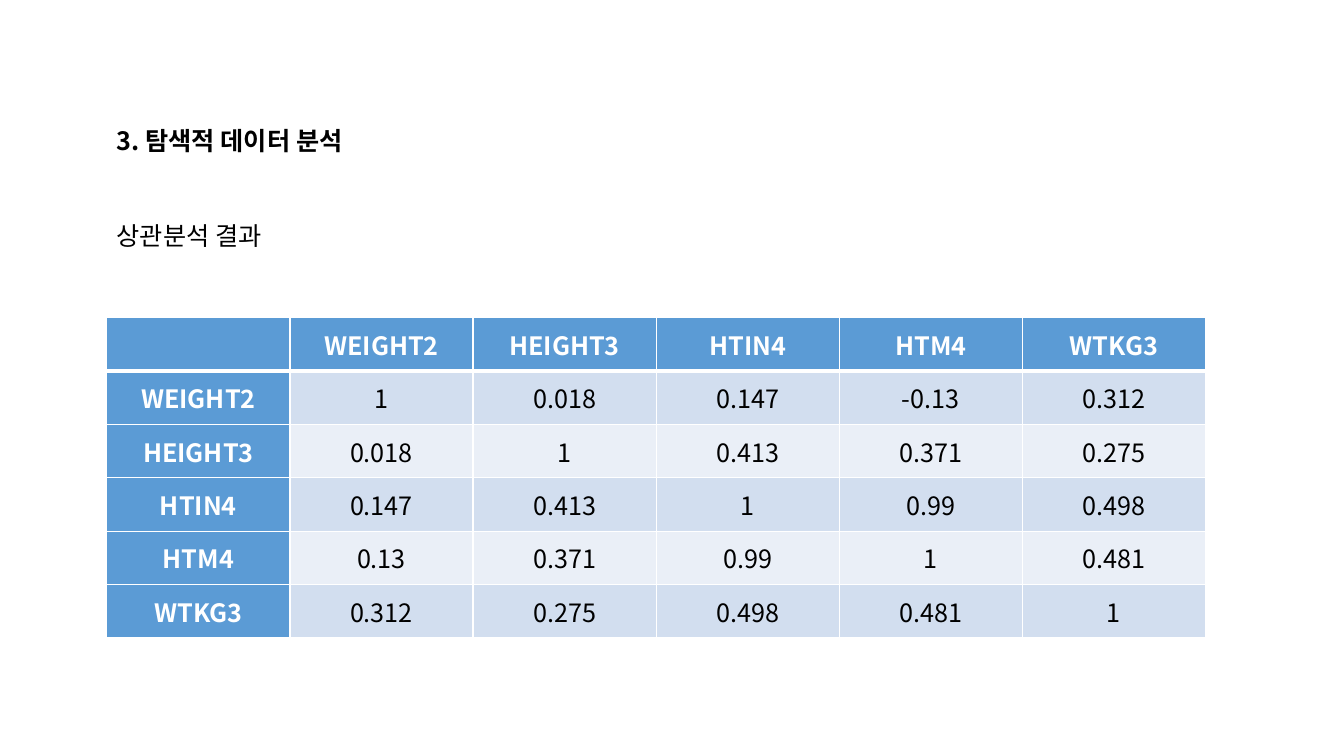
from dataclasses import dataclass

from lxml import etree
from pptx import Presentation
from pptx.dml.color import RGBColor
from pptx.enum.text import MSO_ANCHOR, MSO_AUTO_SIZE, PP_ALIGN
from pptx.oxml.ns import qn
from pptx.slide import Slide
from pptx.table import _Cell
from pptx.text.text import _Paragraph
from pptx.util import Pt

CENTER = PP_ALIGN.CENTER
MIDDLE = MSO_ANCHOR.MIDDLE
GROW = MSO_AUTO_SIZE.SHAPE_TO_FIT_TEXT

FONT = "Noto Sans CJK KR"
TEXT_SIZE = 18
COLORS = {
    "black": "000000",
    "white": "FFFFFF",
    "header": "5B9BD5",
    "odd row": "D2DEEF",
    "even row": "EAEFF7",
}

LEFT = 76.32
TABLE_TOP = 226.8
COLUMN_WIDTH = 130.8
ROW_HEIGHT = 38.16
THIN, THICK = 1, 3

VARIABLES = ["WEIGHT2", "HEIGHT3", "HTIN4", "HTM4", "WTKG3"]
CORRELATIONS = [
    ["1", "0.018", "0.147", "-0.13", "0.312"],
    ["0.018", "1", "0.413", "0.371", "0.275"],
    ["0.147", "0.413", "1", "0.99", "0.498"],
    ["0.13", "0.371", "0.99", "1", "0.481"],
    ["0.312", "0.275", "0.498", "0.481", "1"],
]


@dataclass
class Label:
    text: str
    top: float
    width: float
    bold: bool


LABELS = [
    Label("3. 탐색적 데이터 분석", 85.68, 431.28, True),
    Label("상관분석 결과", 154.08, 833.04, False),
]


def color(name: str) -> RGBColor:
    return RGBColor.from_string(COLORS[name])


def style_paragraph(para: _Paragraph, color_name: str, bold: bool) -> None:
    """Set the font for both Latin and Korean characters."""
    font = para.font
    font.size = Pt(TEXT_SIZE)
    font.bold = bold
    font.color.rgb = color(color_name)
    font.name = FONT
    properties = para._p.pPr.find(qn("a:defRPr"))
    etree.SubElement(properties, qn("a:ea"), typeface=FONT)


def add_label(page: Slide, label: Label) -> None:
    box = page.shapes.add_textbox(Pt(LEFT), Pt(label.top), Pt(label.width), Pt(28.8))
    frame = box.text_frame
    frame.word_wrap = True
    frame.auto_size = GROW
    para = frame.paragraphs[0]
    para.text = label.text
    style_paragraph(para, "black", label.bold)


def add_borders(cell: _Cell, top: float, bottom: float) -> None:
    properties = cell._tc.get_or_add_tcPr()
    widths = {"a:lnL": THIN, "a:lnR": THIN, "a:lnT": top, "a:lnB": bottom}
    for tag, width in widths.items():
        line = etree.SubElement(properties, qn(tag), w=str(Pt(width)))
        fill = etree.SubElement(line, qn("a:solidFill"))
        etree.SubElement(fill, qn("a:srgbClr"), val=COLORS["white"])


def fill_cell(cell: _Cell, text: str, row: int, column: int) -> None:
    is_header = row == 0 or column == 0
    add_borders(cell, THICK if row == 1 else THIN, THICK if row == 0 else THIN)
    band = "odd row" if row % 2 else "even row"
    cell.fill.solid()
    cell.fill.fore_color.rgb = color("header" if is_header else band)
    cell.vertical_anchor = MIDDLE
    para = cell.text_frame.paragraphs[0]
    para.text = text
    para.alignment = CENTER
    style_paragraph(para, "white" if is_header else "black", is_header)


def add_correlation_table(page: Slide) -> None:
    rows = [["", *VARIABLES]]
    rows += [[name, *values] for name, values in zip(VARIABLES, CORRELATIONS)]
    size = len(rows)
    table = page.shapes.add_table(
        size, size, Pt(LEFT), Pt(TABLE_TOP),
        Pt(COLUMN_WIDTH * size), Pt(ROW_HEIGHT * size),
    ).table
    for column in table.columns:
        column.width = Pt(COLUMN_WIDTH)
    for row_index, texts in enumerate(rows):
        table.rows[row_index].height = Pt(ROW_HEIGHT)
        for column_index, text in enumerate(texts):
            cell = table.cell(row_index, column_index)
            fill_cell(cell, text, row_index, column_index)


def main() -> None:
    deck = Presentation()
    deck.slide_width = Pt(960)
    deck.slide_height = Pt(540)
    page = deck.slides.add_slide(deck.slide_layouts[6])
    for label in LABELS:
        add_label(page, label)
    add_correlation_table(page)
    deck.save("out.pptx")


if __name__ == "__main__":
    main()
